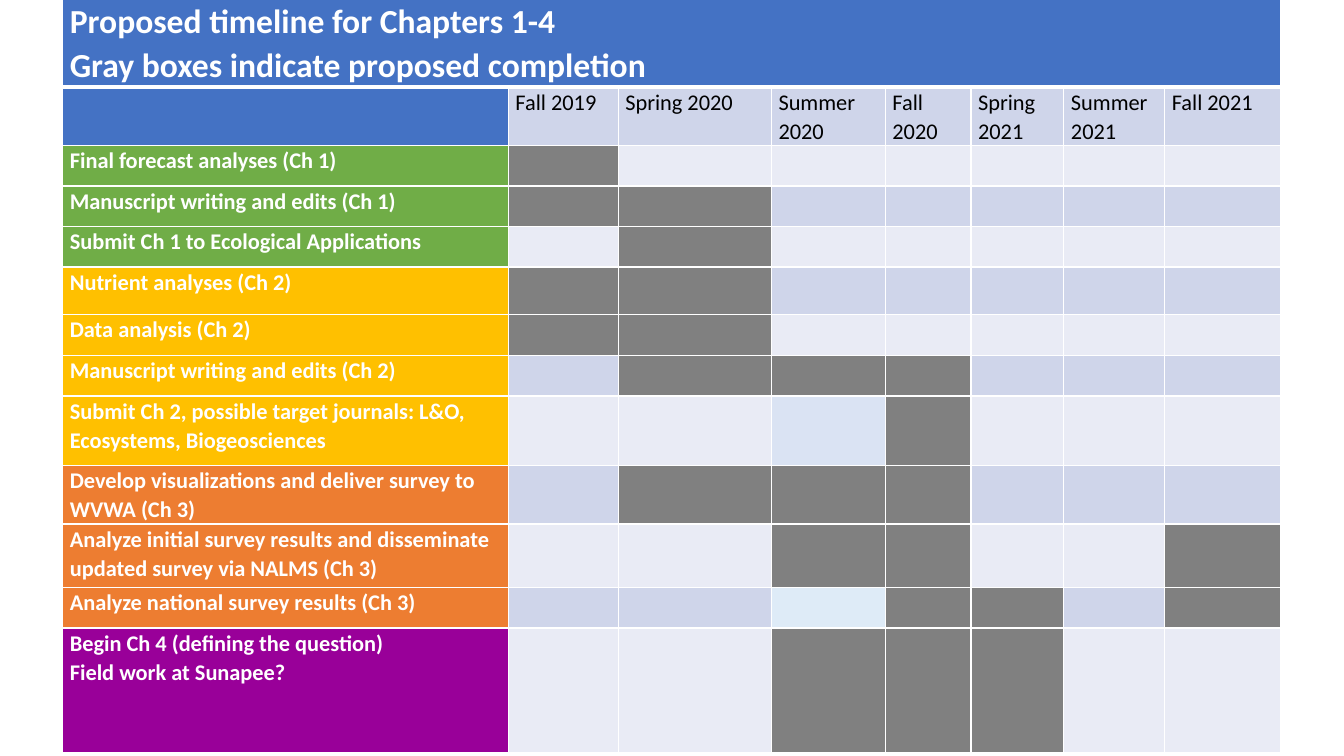
"""Build a one-slide table showing the proposed timeline for four chapters."""
from lxml.etree import SubElement
from pptx import Presentation
from pptx.dml.color import RGBColor
from pptx.oxml.ns import qn
from pptx.util import Cm, Pt

TITLE = ["Proposed timeline for Chapters 1-4", "Gray boxes indicate proposed completion"]
TERMS = ["Fall 2019", "Spring 2020", "Summer 2020", "Fall 2020",
         "Spring 2021", "Summer 2021", "Fall 2021"]
TASKS = [
    ("chapter1", "#......", 1.02, ["Final forecast analyses (Ch 1)"]),
    ("chapter1", "##.....", 1.02, ["Manuscript writing and edits (Ch 1)"]),
    ("chapter1", ".#.....", 1.02, ["Submit Ch 1 to Ecological Applications"]),
    ("chapter2", "##.....", 1.19, ["Nutrient analyses (Ch 2)"]),
    ("chapter2", "##.....", 1.04, ["Data analysis (Ch 2)"]),
    ("chapter2", ".###...", 1.02, ["Manuscript writing and edits (Ch 2)"]),
    ("chapter2", "..p#...", 1.75,
     ["Submit Ch 2, possible target journals: L&O, Ecosystems, Biogeosciences"]),
    ("chapter3", ".###...", 1.35, ["Develop visualizations and deliver survey to WVWA (Ch 3)"]),
    ("chapter3", "..##..#", 1.6,
     ["Analyze initial survey results and disseminate updated survey via NALMS (Ch 3)"]),
    ("chapter3", "..s##.#", 1.02, ["Analyze national survey results (Ch 3)"]),
    ("chapter4", "..###..", 3.15, ["Begin Ch 4 (defining the question)", "Field work at Sunapee?"]),
]
COLORS = {
    "white": "FFFFFF", "black": "000000", "header": "4472C4",
    "chapter1": "70AD47", "chapter2": "FFC000", "chapter3": "ED7D31", "chapter4": "990099",
    "done": "808080", "dark band": "CFD5EA", "light band": "E9EBF5",
    "pale": "DAE3F3", "sky": "DEEBF7",
}
MARKS = {"#": "done", "p": "pale", "s": "sky"}
COLUMN_WIDTHS = [11.23, 2.77, 3.86, 2.87, 2.16, 2.34, 2.54, 2.92]
ROW_HEIGHTS = [2.08, 1.35] + [task[2] for task in TASKS]
LEFT, TOP = 1.58, -0.02


def write(cell, lines, size=16, color="white", bold=True):
    frame = cell.text_frame
    for index, line in enumerate(lines):
        para = frame.add_paragraph() if index else frame.paragraphs[0]
        para.line_spacing = 1.07
        span = para.add_run()
        span.text = line
        span.font.name = "Calibri"
        span.font.size = Pt(size)
        span.font.bold = bold
        span.font.color.rgb = RGBColor.from_string(COLORS[color])


def style(cell, fill, top=1, bottom=1):
    cell.margin_left = cell.margin_right = Cm(0.18)
    cell.margin_top = cell.margin_bottom = Cm(0)
    properties = cell._tc.get_or_add_tcPr()
    for side, width in (("L", 1), ("R", 1), ("T", top), ("B", bottom)):
        line = SubElement(properties, qn(f"a:ln{side}"), w=str(Pt(width)))
        paint = SubElement(line, qn("a:solidFill"))
        SubElement(paint, qn("a:srgbClr"), val=COLORS["white"])
    cell.fill.solid()
    cell.fill.fore_color.rgb = RGBColor.from_string(COLORS[fill])


def main():
    deck = Presentation()
    deck.slide_width, deck.slide_height = Cm(33.87), Cm(19.05)
    page = deck.slides.add_slide(deck.slide_layouts[6])
    table = page.shapes.add_table(
        len(ROW_HEIGHTS), len(COLUMN_WIDTHS), Cm(LEFT), Cm(TOP),
        Cm(sum(COLUMN_WIDTHS)), Cm(sum(ROW_HEIGHTS))).table
    for column, width in zip(table.columns, COLUMN_WIDTHS):
        column.width = Cm(width)
    for row, height in zip(table.rows, ROW_HEIGHTS):
        row.height = Cm(height)

    for column in range(len(COLUMN_WIDTHS)):
        style(table.cell(0, column), "header", bottom=3)
        style(table.cell(1, column), "dark band" if column else "header", top=3)
    table.cell(0, 0).merge(table.cell(0, len(TERMS)))
    write(table.cell(0, 0), TITLE, size=24)
    for column, term in enumerate(TERMS, 1):
        write(table.cell(1, column), [term], color="black", bold=False)

    for row, (chapter, marks, _, lines) in enumerate(TASKS, 2):
        band = "dark band" if row % 2 else "light band"
        style(table.cell(row, 0), chapter)
        write(table.cell(row, 0), lines)
        for column, mark in enumerate(marks, 1):
            style(table.cell(row, column), MARKS.get(mark, band))
    deck.save("out.pptx")


if __name__ == "__main__":
    main()
